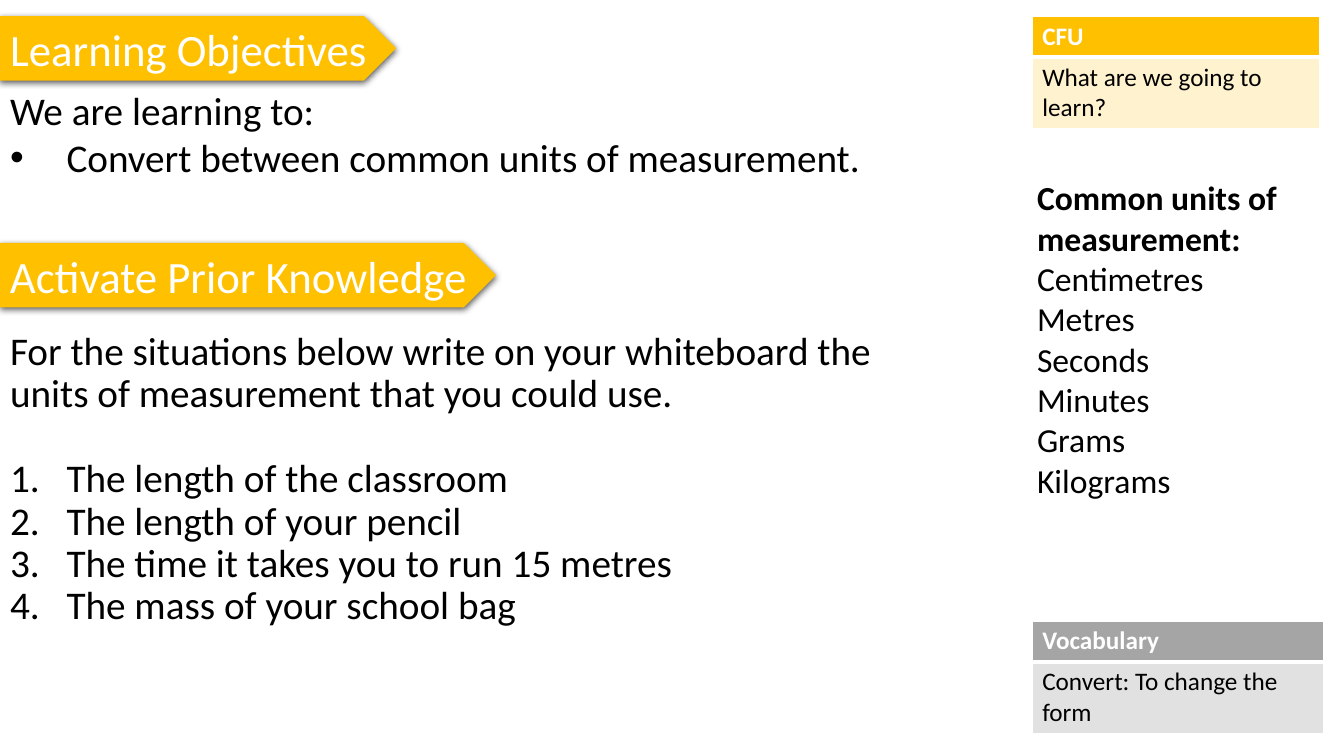
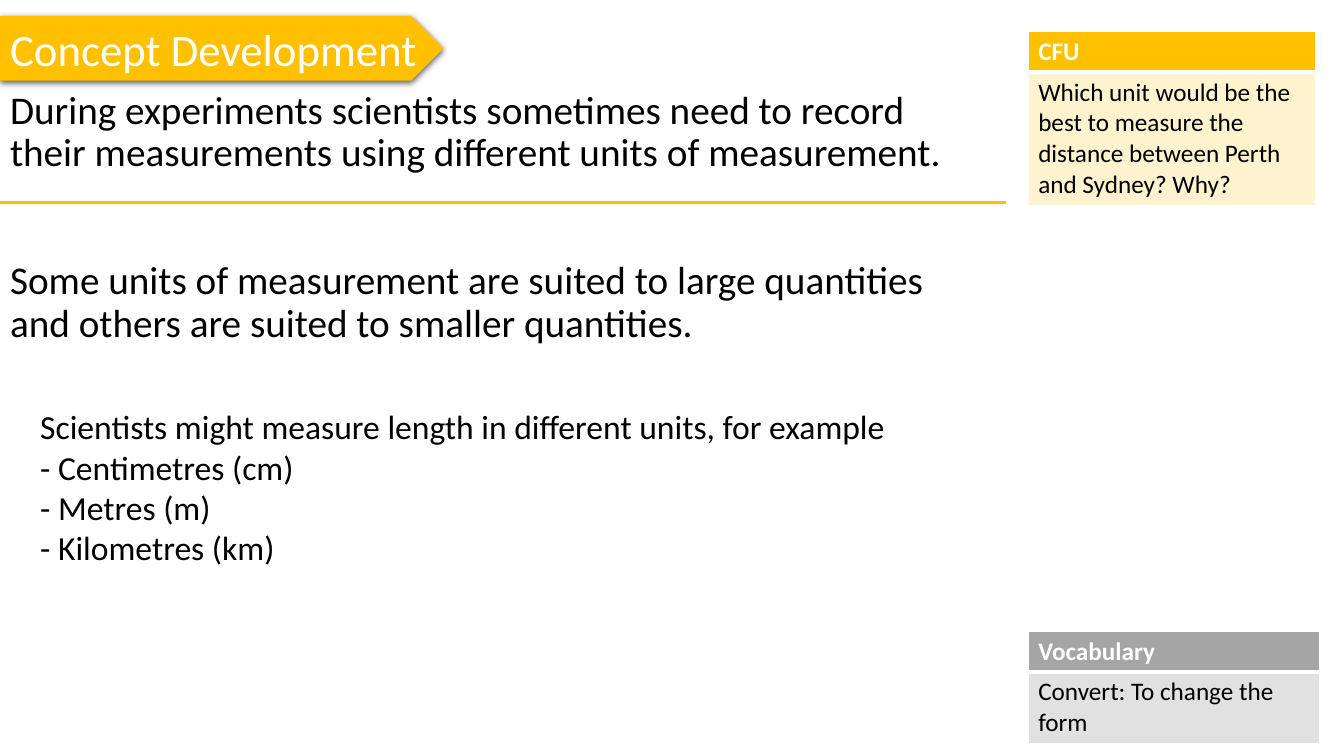
from lxml.etree import SubElement
from pptx import Presentation
from pptx.dml.color import RGBColor
from pptx.enum.shapes import MSO_CONNECTOR, MSO_SHAPE
from pptx.enum.text import MSO_ANCHOR, MSO_AUTO_SIZE, PP_ALIGN
from pptx.oxml.ns import qn
from pptx.util import Inches, Pt

HUES = {
    "gold": "FFC000", "cream": "FFF3CF",
    "grey": "A5A5A5", "pale": "E1E1E1",
    "ink": "000000", "white": "FFFFFF",
}
FONT = "Calibri"
COLS, ROWS = 80, 45
SIDE = {"CFU": ("gold", "cream", 17.1), "Vocabulary": ("grey", "pale", 17.34)}
INDENT = Inches(0.56)


def hue(name):
    return RGBColor.from_string(HUES[name])


def node(root, tag, **attrs):
    return SubElement(root, qn(tag), {key: str(val) for key, val in attrs.items()})


class Deck:
    def __init__(self):
        self.prs = Presentation()
        self.prs.slide_width = Inches(13.33)
        self.prs.slide_height = Inches(7.5)
        self.slide = None

    def start(self, layout):
        self.slide = self.prs.slides.add_slide(self.prs.slide_layouts[layout])

    def grid(self, col, row, wide=0, high=0):
        """Turn columns and rows into lengths."""
        unit_x = self.prs.slide_width / COLS
        unit_y = self.prs.slide_height / ROWS
        return [round(n * u) for n, u in
                zip((col, row, wide, high), (unit_x, unit_y) * 2)]

    def move(self, shape, box):
        shape.left, shape.top, shape.width, shape.height = self.grid(*box)

    def add_run(self, para, text, size, color="ink", bold=False):
        run = para.add_run()
        run.text = text
        font = run.font
        font.name, font.size, font.bold = FONT, Pt(size), bold
        font.color.rgb = hue(color)

    def mark(self, para, kind):
        """Set the bullet, number or plain start of a paragraph."""
        props = para._p.get_or_add_pPr()
        inset = INDENT if kind else 0
        props.set("marL", str(inset))
        props.set("indent", str(-inset))
        if kind == "dot":
            node(props, "a:buFont", typeface="Arial")
            node(props, "a:buChar", char="•")
        elif kind == "num":
            node(props, "a:buFont", typeface="+mj-lt")
            node(props, "a:buAutoNum", type="arabicPeriod")
        else:
            node(props, "a:buNone")

    def text(self, shape, paras, size, lead=1.0):
        """Fill a shape with (text, options) paragraphs."""
        frame = shape.text_frame
        frame.word_wrap = True
        frame.auto_size = MSO_AUTO_SIZE.NONE
        frame.vertical_anchor = MSO_ANCHOR.TOP
        for i, (words, opts) in enumerate(paras):
            para = frame.add_paragraph() if i else frame.paragraphs[0]
            self.mark(para, opts.get("mark"))
            para.alignment = PP_ALIGN.LEFT
            para.line_spacing = lead
            para.space_before = Pt(opts.get("gap", 0))
            self.add_run(para, words, size, bold=opts.get("bold", False))

    def body(self, slot, box, paras, lead=0.9):
        shape = self.slide.placeholders[slot]
        self.move(shape, box)
        self.text(shape, paras, 28, lead)

    def note(self, box, paras):
        self.text(self.slide.shapes.add_textbox(*self.grid(*box)), paras, 24)

    def tag(self, words, row, wide, title=False):
        """Draw a gold arrow tag; the first one carries the slide title."""
        box = (0, row, wide, 3.84)
        plate = self.slide.shapes.add_shape(MSO_SHAPE.PENTAGON, *self.grid(*box))
        plate.fill.solid()
        plate.fill.fore_color.rgb = hue("gold")
        plate.line.fill.background()
        plate.shadow.inherit = False
        glow = node(plate._element.spPr.find(qn("a:effectLst")), "a:outerShdw",
                    blurRad=Pt(4.5), dist=Pt(1.5), dir=5400000,
                    algn="t", rotWithShape=0)
        tint = node(glow, "a:srgbClr", val=HUES["ink"])
        node(tint, "a:alpha", val=63000)
        host = plate
        if title:
            self.slide.shapes._spTree.insert(2, plate._element)
            host = self.slide.shapes.title
            self.move(host, box)
        frame = host.text_frame
        frame.word_wrap = False
        frame.auto_size = MSO_AUTO_SIZE.NONE
        frame.vertical_anchor = MSO_ANCHOR.MIDDLE
        para = frame.paragraphs[0]
        para.alignment = PP_ALIGN.LEFT
        self.add_run(para, words, 32, "white")

    def card(self, head, words, col, row, lines=2):
        """Add a two-row side table."""
        dark, light, wide = SIDE[head]
        highs = (Inches(0.39), Inches(0.1 + 0.3 * lines))
        left, top, width, _ = self.grid(col, row, wide)
        table = self.slide.shapes.add_table(
            2, 1, left, top, width, sum(highs)).table
        table.horz_banding = False
        parts = ((head, dark, "white", True), (words, light, "ink", False))
        for i, (label, back, color, bold) in enumerate(parts):
            table.rows[i].height = highs[i]
            cell = table.cell(i, 0)
            if i == 0:
                rule = node(cell._tc.get_or_add_tcPr(), "a:lnB", w=Pt(3))
                node(node(rule, "a:solidFill"), "a:srgbClr", val=HUES["white"])
            cell.fill.solid()
            cell.fill.fore_color.rgb = hue(back)
            self.add_run(cell.text_frame.paragraphs[0], label, 18, color, bold)

    def rule(self, row, wide):
        x, y, width, _ = self.grid(0, row, wide)
        line = self.slide.shapes.add_connector(
            MSO_CONNECTOR.STRAIGHT, x, y, x + width, y)
        line.line.color.rgb = hue("gold")
        line.line.width = Pt(2.25)
        node(line._element.spPr, "a:effectLst")


def plain(*words):
    return [(word, {}) for word in words]


def main():
    deck = Deck()
    vocab = "Convert: To change the form"

    # Objectives and prior knowledge
    deck.start(3)
    deck.tag("Learning Objectives", 0.96, 23.58, title=True)
    deck.tag("Activate Prior Knowledge", 14.46, 29.52)
    deck.body(1, (0, 4.86, 54, 6.24), [
        ("We are learning to:", {}),
        ("Convert between common units of measurement.", {"mark": "dot"}),
    ], lead=1.0)
    tasks = ("The length of the classroom", "The length of your pencil",
             "The time it takes you to run 15 metres",
             "The mass of your school bag")
    deck.body(2, (0, 19.44, 53.76, 25.2), plain(
        "For the situations below write on your whiteboard the units of "
        "measurement that you could use.",
    ) + [(task, {"mark": "num", "gap": 0 if i else 30.5})
         for i, task in enumerate(tasks)])
    deck.card("CFU", "What are we going to learn?", 61.44, 0.96)
    deck.card("Vocabulary", vocab, 61.44, 36.96)
    deck.note((61.14, 10.26, 16.98, 19.98),
              [("Common units of measurement:", {"bold": True})]
              + plain("Centimetres", "Metres", "Seconds",
                      "Minutes", "Grams", "Kilograms"))

    # Concept development
    deck.start(1)
    deck.tag("Concept Development", 0.96, 26.4, title=True)
    deck.body(1, (0, 5.1, 58.56, 16.5), [
        ("During experiments scientists sometimes need to record their "
         "measurements using different units of measurement.", {}),
        ("Some units of measurement are suited to large quantities and "
         "others are suited to smaller quantities.", {"gap": 61}),
    ])
    deck.card("Vocabulary", vocab, 61.2, 37.56)
    deck.card("CFU", "Which unit would be the best to measure the distance "
              "between Perth and Sydney? Why?", 61.2, 1.86, lines=4)
    deck.rule(12.06, 59.88)
    deck.note((1.8, 23.88, 52.32, 10.32), plain(
        "Scientists might measure length in different units, for example",
        "- Centimetres (cm)", "- Metres (m)", "- Kilometres (km)"))

    deck.prs.save("out.pptx")


if __name__ == "__main__":
    main()
